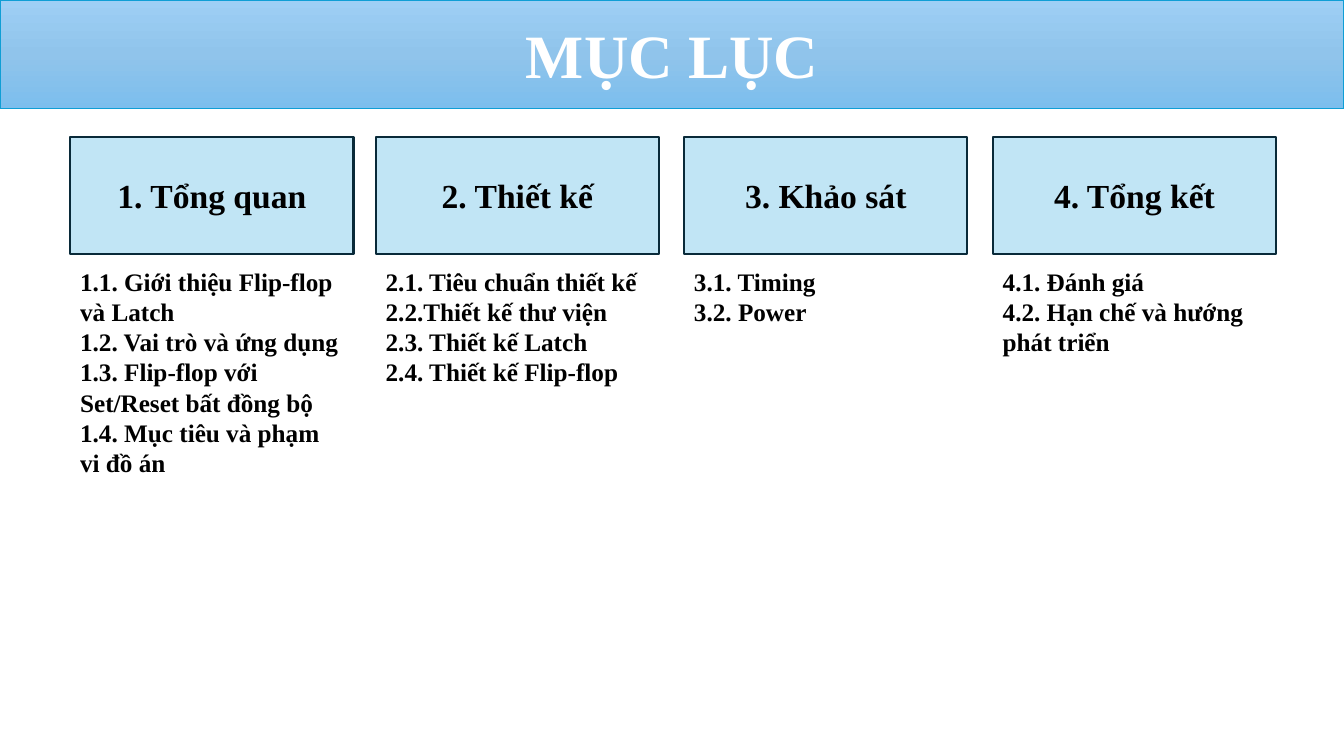
from copy import deepcopy

from pptx import Presentation
from pptx.dml.color import RGBColor
from pptx.enum.shapes import MSO_SHAPE
from pptx.enum.text import MSO_ANCHOR, MSO_AUTO_SIZE, PP_ALIGN
from pptx.oxml.ns import qn
from pptx.util import Cm, Pt

RECT = MSO_SHAPE.RECTANGLE
TOP, MIDDLE = MSO_ANCHOR.TOP, MSO_ANCHOR.MIDDLE
FIT, FIXED = MSO_AUTO_SIZE.SHAPE_TO_FIT_TEXT, MSO_AUTO_SIZE.NONE
LEFT, CENTER, JUSTIFY = PP_ALIGN.LEFT, PP_ALIGN.CENTER, PP_ALIGN.JUSTIFY

WHITE = RGBColor(0xFF, 0xFF, 0xFF)
BLACK = RGBColor(0x00, 0x00, 0x00)
SKY = RGBColor(0xC1, 0xE5, 0xF5)
NAVY = RGBColor(0x09, 0x2A, 0x39)
BLUE = RGBColor(0x0F, 0x9E, 0xD5)
BANNER = [
    (0, RGBColor(0x9E, 0xCF, 0xF5)),
    (0.5, RGBColor(0x90, 0xC4, 0xEB)),
    (1, RGBColor(0x7C, 0xBE, 0xED)),
]

# Content: left edge (cm), heading, list height (cm), items with alignment
TITLE = "MỤC LỤC"
PARTS = [
    (1.77, "1. Tổng quan", 6.4, [
        ("1.1. Giới thiệu Flip-flop và Latch", LEFT),
        ("1.2. Vai trò và ứng dụng", LEFT),
        ("1.3. Flip-flop với Set/Reset bất đồng bộ", LEFT),
        ("1.4. Mục tiêu và phạm vi đồ án", LEFT),
    ]),
    (9.47, "2. Thiết kế", 4.11, [
        ("2.1. Tiêu chuẩn thiết kế", JUSTIFY),
        ("2.2.Thiết kế thư viện", JUSTIFY),
        ("2.3. Thiết kế Latch", JUSTIFY),
        ("2.4. Thiết kế Flip-flop", LEFT),
    ]),
    (17.24, "3. Khảo sát", 1.8, [
        ("3.1. Timing", JUSTIFY),
        ("3.2. Power", JUSTIFY),
    ]),
    (25.02, "4. Tổng kết", 2.57, [
        ("4.1. Đánh giá", LEFT),
        ("4.2. Hạn chế và hướng phát triển", LEFT),
    ]),
]

# Layout in cm
WIDE, HIGH = 33.87, 19.05
COL = 7.14
HEAD_TOP, HEAD_HIGH = 3.45, 2.95
LIST_TOP = 6.58

# Text formats
FONT = {"name": "Times New Roman", "bold": True}
TITLE_FONT = {**FONT, "size": Pt(44)}
HEAD_FONT = {**FONT, "size": Pt(24)}
LIST_FONT = {**FONT, "size": Pt(18)}
HEAD_FRAME = {"word_wrap": True, "auto_size": FIXED, "vertical_anchor": MIDDLE}
TEXT_FRAME = {"word_wrap": True, "auto_size": FIT, "vertical_anchor": TOP}


def apply(item, values):
    for name, value in values.items():
        setattr(item, name, value)


def write(shape, lines, font, color, frame):
    text = shape.text_frame
    apply(text, frame)
    for i, (line, align) in enumerate(lines):
        para = text.add_paragraph() if i else text.paragraphs[0]
        para.alignment = align
        run = para.add_run()
        run.text = line
        apply(run.font, font)
        run.font.color.rgb = color


def add_rect(slide, box, edge, width):
    shape = slide.shapes.add_shape(RECT, *map(Cm, box))
    shape.shadow.inherit = False
    shape.line.color.rgb = edge
    shape.line.width = Pt(width)
    return shape


def add_text(slide, box, lines, font, color):
    shape = slide.shapes.add_textbox(*map(Cm, box))
    write(shape, lines, font, color, TEXT_FRAME)


def add_banner(slide):
    band = add_rect(slide, (0, 0, WIDE, 2.74), BLUE, 1)
    band.fill.gradient()
    band.fill.gradient_angle = 270
    # The default gradient has two stops; add the third
    stops = next(band.element.iter(qn("a:gsLst")))
    stops.append(deepcopy(stops[-1]))
    for stop, (place, color) in zip(band.fill.gradient_stops, BANNER):
        stop.position = place
        stop.color.rgb = color


def main():
    deck = Presentation()
    deck.slide_width, deck.slide_height = Cm(WIDE), Cm(HIGH)
    slide = deck.slides.add_slide(deck.slide_layouts[6])

    # Title band
    add_banner(slide)
    add_text(slide, (2.62, 0.3, 28.65, 2.13), [(TITLE, CENTER)], TITLE_FONT, WHITE)

    # Columns: heading box above its list
    for left, head, tall, items in PARTS:
        box = add_rect(slide, (left, HEAD_TOP, COL, HEAD_HIGH), NAVY, 1.5)
        box.fill.solid()
        box.fill.fore_color.rgb = SKY
        write(box, [(head, CENTER)], HEAD_FONT, BLACK, HEAD_FRAME)
        add_text(slide, (left, LIST_TOP, COL, tall), items, LIST_FONT, BLACK)

    deck.save("out.pptx")


if __name__ == "__main__":
    main()
